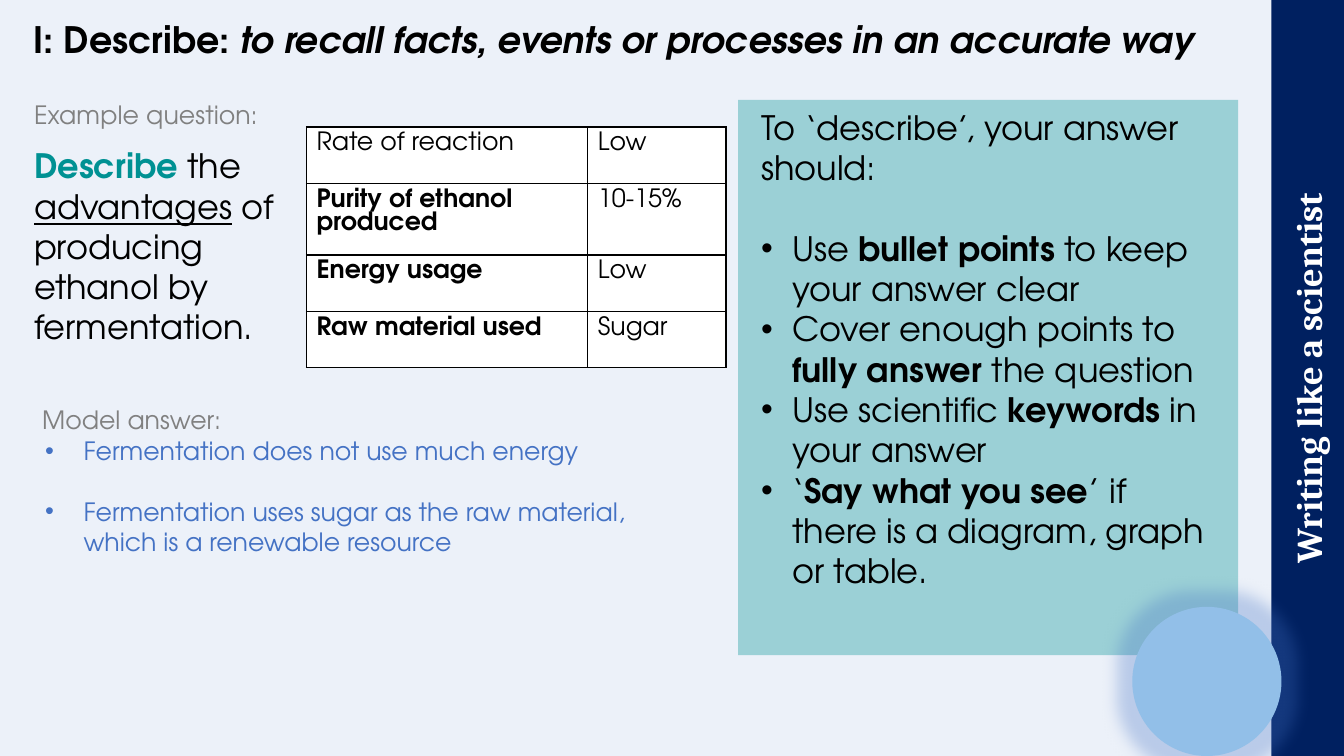
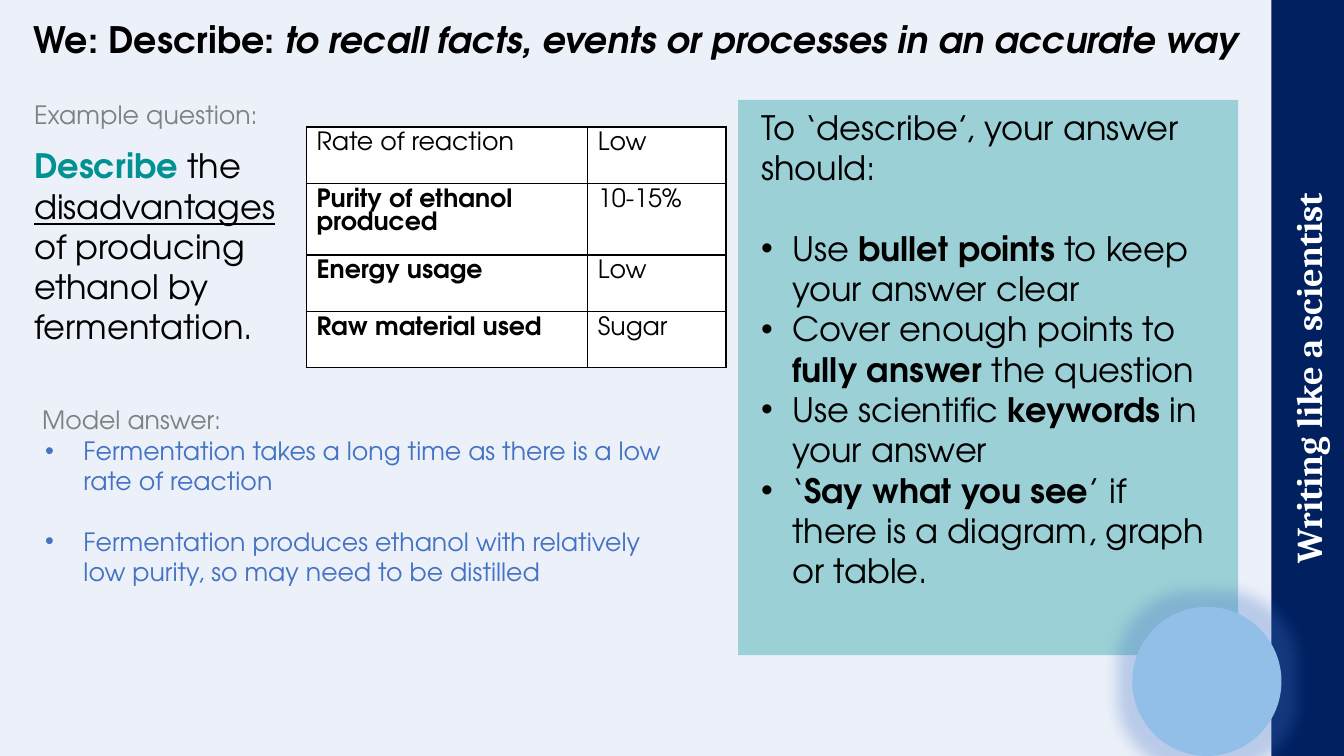
"""Build two slides on answering 'describe' questions in science."""
from dataclasses import dataclass

from lxml import etree
from pptx import Presentation
from pptx import util as u
from pptx.dml.color import RGBColor
from pptx.enum import shapes, text
from pptx.oxml.ns import qn


@dataclass(frozen=True)
class Theme:
    page: str = "ECF1F9"
    navy: str = "002060"
    teal: str = "009193"
    blue: str = "4472C4"
    sky: str = "92BFE8"
    grey: str = "808080"
    black: str = "000000"
    white: str = "FFFFFF"
    font: str = "TeX Gyre Adventor"
    band_font: str = "Cambria"
    title_size: int = 26
    body_size: int = 24
    small_size: int = 18
    body_line: float = 28.8
    small_line: float = 21.6


THEME = Theme()
BAND_TEXT = "Writing like a scientist"
DEFINITION = "to recall facts, events or processes in an accurate way"
TABLE_ROWS = [
    ("Rate of reaction", "Low"),
    ("Purity of ethanol produced", "10-15%"),
    ("Energy usage", "Low"),
    ("Raw material used", "Sugar"),
]
COLUMN_WIDTHS = (2.79, 1.37)
ROW_HEIGHTS = (0.56, 0.71, 0.56, 0.56)
ADVICE_INTRO = "To ‘describe’, your answer should:"
ADVICE = [
    [("Use ", ""), ("bullet points ", "bold"), ("to keep your answer clear", "")],
    [("Cover enough points to ", ""), ("fully answer ", "bold"), ("the question", "")],
    [("Use scientific ", ""), ("keywords", "bold"), (" in your answer", "")],
    [("‘", ""), ("Say what you see", "bold"), ("’ if there is a diagram, graph or table.", "")],
]
SLIDES = [
    {
        "title": "I: Describe: ",
        "focus": "advantages",
        "answer_width": 6.12,
        "answers": [
            "Fermentation does not use much energy",
            "Fermentation uses sugar as the raw material, which is a renewable resource",
        ],
    },
    {
        "title": "We: Describe: ",
        "focus": "disadvantages",
        "answer_width": 6.44,
        "answers": [
            "Fermentation takes a long time as there is a low rate of reaction",
            "Fermentation produces ethanol with relatively low purity, so may need to be distilled",
        ],
    },
]


def rgb(color):
    return RGBColor.from_string(color)


def add_node(parent, tag, **attributes):
    return etree.SubElement(parent, qn(tag), attributes)


def place(*lengths):
    return [u.Inches(length) for length in lengths]


def set_font(font, size, color, bold=False, name=THEME.font):
    font.name, font.size, font.bold = name, u.Pt(size), bold
    font.color.rgb = rgb(color)


def fill_para(para, spans, size, color, indent=0, bold=False):
    if indent:
        props = para._p.get_or_add_pPr()
        props.set("marL", str(u.Inches(indent)))
        props.set("indent", str(-u.Inches(indent)))
        add_node(props, "a:buFont", typeface="Arial")
        add_node(props, "a:buChar", char="•")
    set_font(para.font, size, color, bold)
    for words, style in spans:
        span = para.add_run()
        span.text = words
        if style in ("bold", "accent"):
            span.font.bold = True
        if style == "accent":
            span.font.color.rgb = rgb(THEME.teal)
        elif style == "italic":
            span.font.italic = True
        elif style == "underline":
            span.font.underline = True


def add_text(page, position, paragraphs, size, color, **options):
    """Add a wrapped box; each paragraph is (spans, indent, space before)."""
    frame = page.shapes.add_textbox(*place(*position)).text_frame
    frame.word_wrap = True
    for index, (spans, indent, before) in enumerate(paragraphs):
        para = frame.add_paragraph() if index else frame.paragraphs[0]
        fill_para(para, spans, size, color, indent, **options)
        if before:
            para.space_before = u.Pt(before)
    return frame


def clear_margins(frame):
    frame.margin_left = frame.margin_right = frame.margin_top = frame.margin_bottom = 0


def add_block(page, kind, position, color):
    block = page.shapes.add_shape(kind, *place(*position))
    block.shadow.inherit = False
    block.fill.solid()
    block.fill.fore_color.rgb = rgb(color)
    block.line.fill.background()
    return block


def set_alpha(color_node, percent):
    add_node(color_node, "a:alpha", val=str(percent * 1000))


def add_backdrop(page):
    page.background.fill.solid()
    page.background.fill.fore_color.rgb = rgb(THEME.page)
    kinds = shapes.MSO_SHAPE

    panel = add_block(page, kinds.RECTANGLE, (7.32, 0.99, 4.96, 5.51), THEME.teal)
    set_alpha(panel._element.spPr.find(qn("a:solidFill"))[0], 34)

    band = add_block(page, kinds.RECTANGLE, (9.22, 3.39, 7.5, 0.72), THEME.navy)
    band.rotation = 270
    frame = band.text_frame
    clear_margins(frame)
    frame.vertical_anchor = text.MSO_ANCHOR.MIDDLE
    para = frame.paragraphs[0]
    para.alignment = text.PP_ALIGN.CENTER
    set_font(para.font, THEME.title_size, THEME.white, True, THEME.band_font)
    para.add_run().text = BAND_TEXT

    circle = add_block(page, kinds.OVAL, (11.23, 6.02, 1.48, 1.48), THEME.sky)
    effects = circle._element.spPr.find(qn("a:effectLst"))
    glow = add_node(effects, "a:glow", rad=str(u.Pt(22)))
    set_alpha(add_node(glow, "a:srgbClr", val=THEME.blue), 30)


def add_borders(cell):
    props = cell._tc.get_or_add_tcPr()
    for side in ("a:lnL", "a:lnR", "a:lnT", "a:lnB"):
        line = add_node(props, side, w=str(u.Pt(1)))
        add_node(add_node(line, "a:solidFill"), "a:srgbClr", val=THEME.black)


def add_facts(page):
    size = (sum(COLUMN_WIDTHS), sum(ROW_HEIGHTS))
    table = page.shapes.add_table(
        len(TABLE_ROWS), len(COLUMN_WIDTHS), *place(3.04, 1.26, *size)
    ).table
    table.first_row = table.horz_banding = False
    for column, width in zip(table.columns, COLUMN_WIDTHS):
        column.width = u.Inches(width)
    for index, (row, height) in enumerate(zip(table.rows, ROW_HEIGHTS)):
        row.height = u.Inches(height)
        for side, (cell, words) in enumerate(zip(row.cells, TABLE_ROWS[index])):
            add_borders(cell)
            cell.fill.solid()
            cell.fill.fore_color.rgb = rgb(THEME.white)
            para = cell.text_frame.paragraphs[0]
            label = index > 0 and side == 0
            fill_para(para, [(words, "")], THEME.small_size, THEME.black, bold=label)


def add_lesson(deck, lesson):
    page = deck.slides.add_slide(deck.slide_layouts[6])
    add_backdrop(page)

    title = [(lesson["title"], ""), (DEFINITION, "italic")]
    frame = add_text(page, (0.33, 0.11, 12.22, 0.5), [(title, 0, 0)],
                     THEME.title_size, THEME.black, bold=True)
    clear_margins(frame)
    frame.vertical_anchor = text.MSO_ANCHOR.BOTTOM
    frame.paragraphs[0].line_spacing = 0.9

    question = [("Describe", "accent"), (" the ", ""), (lesson["focus"], "underline"),
                (" of producing ethanol by fermentation.", "")]
    add_text(page, (0.24, 1.39, 2.7, 2.12), [(question, 0, 0)], THEME.body_size, THEME.black)

    answers = [([(answer, "")], 0.38, THEME.small_line if index else 0)
               for index, answer in enumerate(lesson["answers"])]
    add_text(page, (0.35, 4.27, lesson["answer_width"], 1.62), answers,
             THEME.small_size, THEME.blue)

    for label, left, top in (("Example question:", 0.24, 0.94), ("Model answer:", 0.32, 3.96)):
        add_text(page, (left, top, 2.72, 0.4), [([(label, "")], 0, 0)],
                 THEME.small_size, THEME.grey)

    advice = [([(ADVICE_INTRO, "")], 0, 0)]
    advice += [(spans, 0.31, 0 if index else THEME.body_line)
               for index, spans in enumerate(ADVICE)]
    add_text(page, (7.45, 1.01, 4.71, 4.95), advice, THEME.body_size, THEME.black)
    add_facts(page)


def main():
    deck = Presentation()
    deck.slide_width, deck.slide_height = place(13.33, 7.5)
    for lesson in SLIDES:
        add_lesson(deck, lesson)
    deck.save("out.pptx")


if __name__ == "__main__":
    main()
